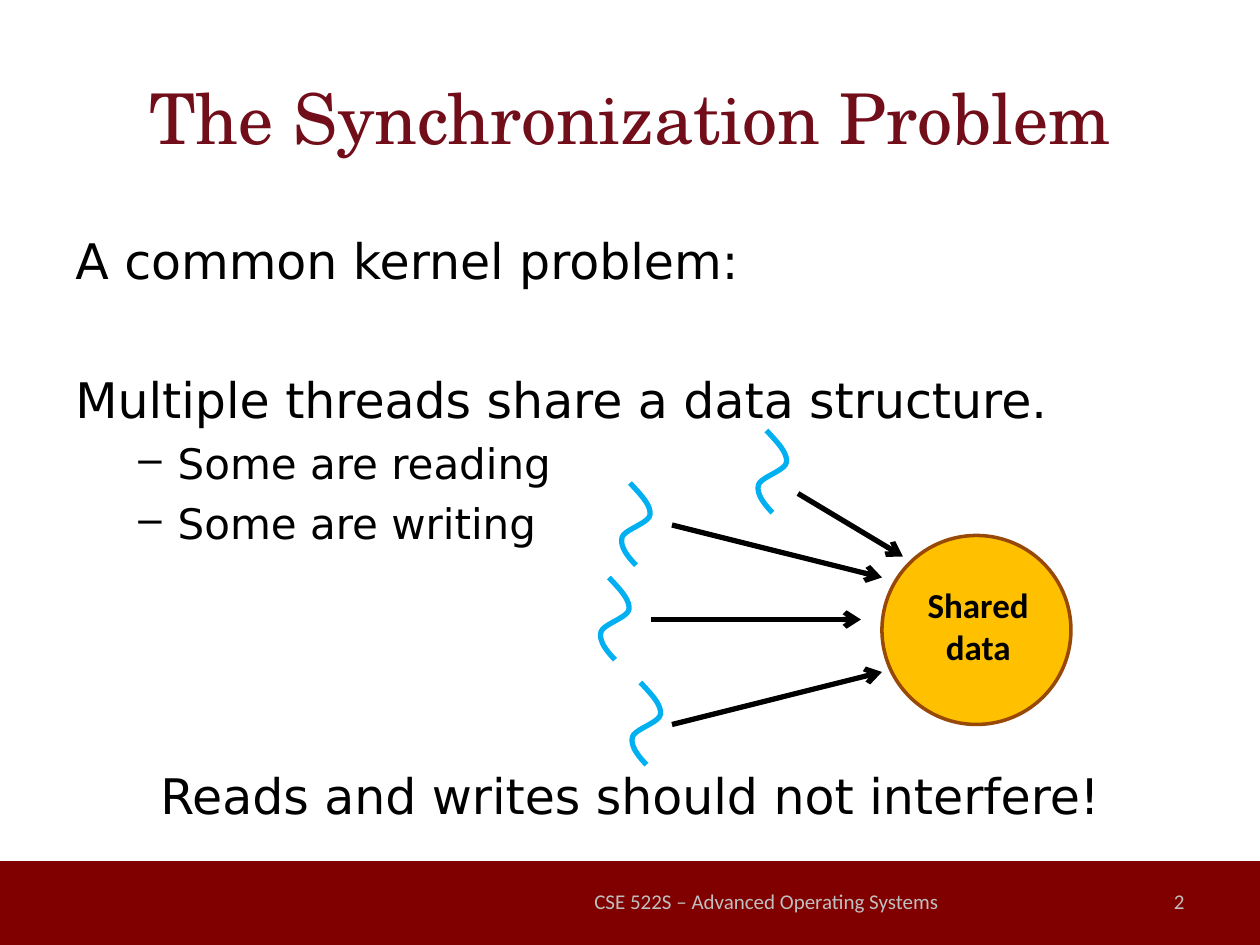
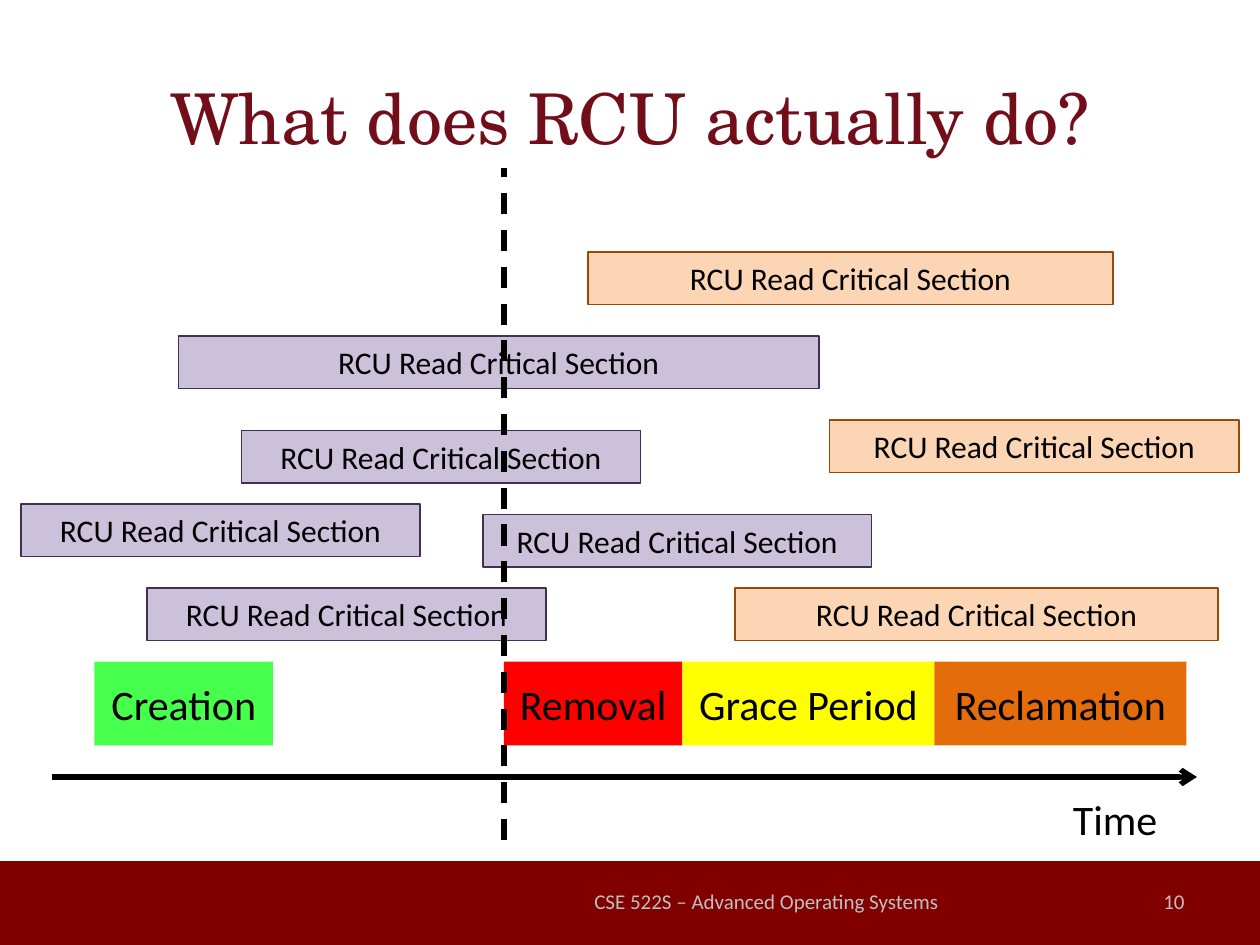
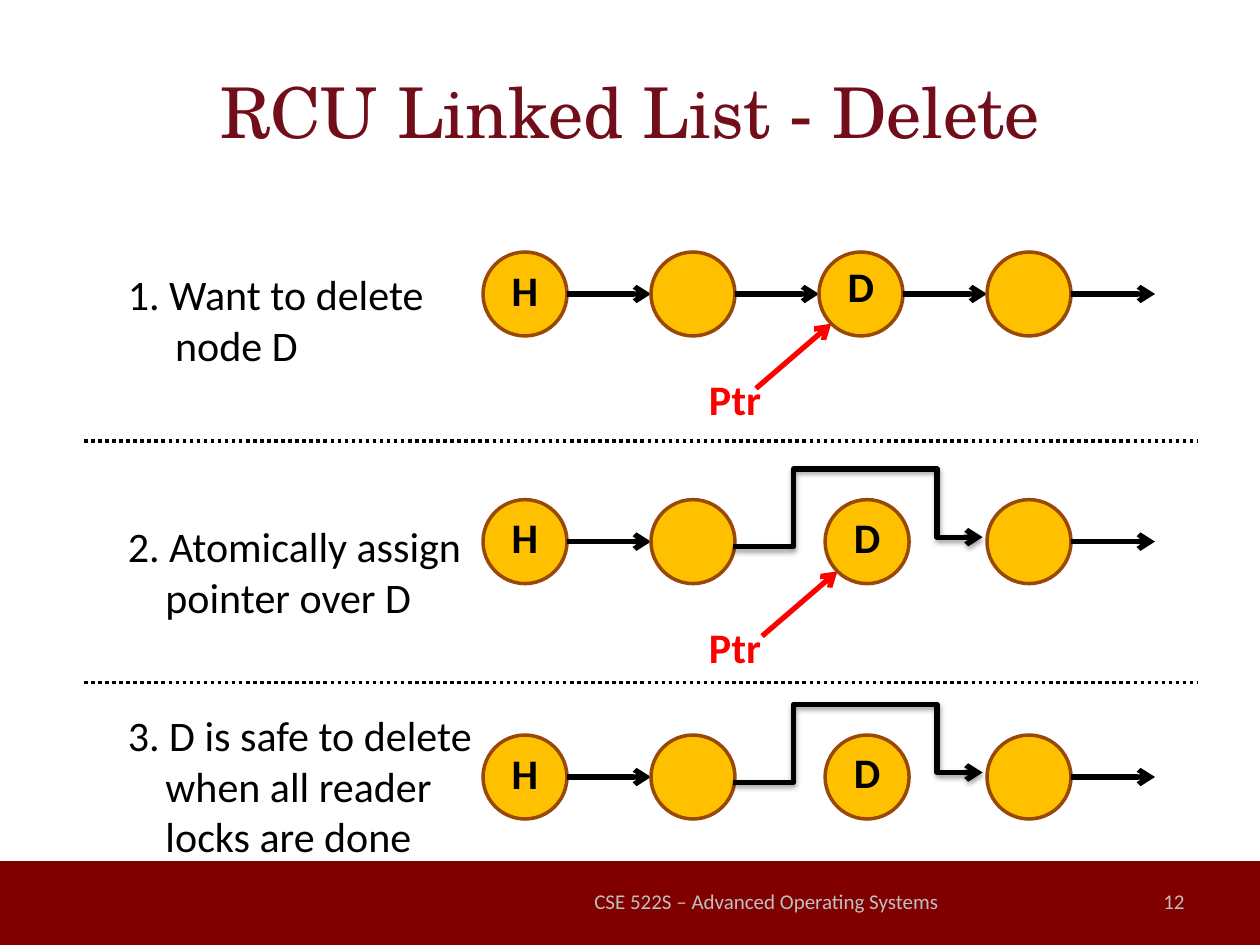
from lxml.etree import SubElement
from pptx import Presentation
from pptx.dml.color import RGBColor
from pptx.enum.dml import MSO_LINE
from pptx.enum.shapes import MSO_CONNECTOR, MSO_SHAPE
from pptx.enum.text import MSO_ANCHOR, PP_ALIGN
from pptx.oxml.ns import qn
from pptx.util import Pt

BLACK, RED, MAROON = "000000", "FF0000", "800000"
GOLD, BROWN, SKY = "FFC000", "984807", "00B0F0"
LILAC, PLUM, PEACH = "CCC1DA", "403152", "FCD5B5"

FONTS = {
    "title": {"name": "TeX Gyre Schola", "size": Pt(40)},
    "body": {"name": "DejaVu Sans", "size": Pt(28)},
    "bullet": {"name": "DejaVu Sans", "size": Pt(24)},
    "footer": {"name": "Calibri", "size": Pt(12)},
    "label": {"name": "Calibri", "size": Pt(24)},
    "strong": {"name": "Calibri", "size": Pt(24), "bold": True},
    "data": {"name": "Calibri", "size": Pt(20), "bold": True},
    "section": {"name": "Calibri", "size": Pt(18)},
}
TEXT_COLOURS = {"title": "720D1A", "footer": "BFBFBF"}
CENTER, LEFT, RIGHT = PP_ALIGN.CENTER, PP_ALIGN.LEFT, PP_ALIGN.RIGHT
TOP, MIDDLE = MSO_ANCHOR.TOP, MSO_ANCHOR.MIDDLE

NODE = 48
NODE_LEFTS = (276, 372, 468, 564)
UNLINKED_LEFT = 471.5


def rgb(colour):
    return RGBColor.from_string(colour)


def bezier(p0, p1, p2, p3, steps=10):
    """Return the points of a cubic curve, without its start."""
    points = []
    for step in range(1, steps + 1):
        t = step / steps
        weights = ((1 - t) ** 3, 3 * t * (1 - t) ** 2, 3 * t * t * (1 - t), t ** 3)
        points.append(tuple(sum(w * p[axis] for w, p in zip(weights, (p0, p1, p2, p3)))
                            for axis in (0, 1)))
    return points


class Deck:
    """Holds the shared style and the slide being drawn."""

    def __init__(self):
        self.presentation = Presentation()
        self.presentation.slide_width = Pt(720)
        self.presentation.slide_height = Pt(540)

    def new_slide(self, title, number, title_top=21.5):
        layout = self.presentation.slide_layouts[6]
        self.shapes = self.presentation.slides.add_slide(layout).shapes
        self.shape(MSO_SHAPE.RECTANGLE, (0, 492, 720, 48), MAROON)
        self.text((36, title_top, 648, 90), [title], "title", CENTER, MIDDLE)
        self.text((324, 500.5, 228, 28.75), ["CSE 522S – Advanced Operating Systems"],
                  "footer", CENTER, MIDDLE)
        self.text((516, 500.5, 168, 28.75), [number], "footer", RIGHT, MIDDLE)

    def paragraph(self, paragraph, text, style, align=LEFT, colour=None, before=0,
                  indent=0, bullet=None):
        paragraph.alignment = align
        paragraph.space_before = Pt(before)
        properties = paragraph._p.get_or_add_pPr()
        properties.set("marL", str(Pt(indent)))
        if bullet:
            properties.set("indent", str(Pt(-22.5)))
            SubElement(properties, qn("a:buChar")).set("char", bullet)
        run = paragraph.add_run()
        run.text = text
        for attribute, value in FONTS[style].items():
            setattr(run.font, attribute, value)
        run.font.color.rgb = rgb(colour or TEXT_COLOURS.get(style, BLACK))

    def fill_frame(self, frame, lines, style, align, anchor, colour=None, hanging=0):
        frame.word_wrap = True
        frame.vertical_anchor = anchor
        for index, line in enumerate(lines):
            paragraph = frame.add_paragraph() if index else frame.paragraphs[0]
            self.paragraph(paragraph, line, style, align, colour,
                           indent=hanging if index else 0)

    def text(self, box, lines, style, align=LEFT, anchor=TOP, colour=None, hanging=0):
        frame = self.shapes.add_textbox(*map(Pt, box)).text_frame
        self.fill_frame(frame, lines, style, align, anchor, colour, hanging)
        return frame

    def shape(self, kind, box, fill, outline=None, width=1, label=None, style="label"):
        shape = self.shapes.add_shape(kind, *map(Pt, box))
        shape.shadow.inherit = False
        shape.fill.solid()
        shape.fill.fore_color.rgb = rgb(fill)
        if outline:
            self.stroke(shape, outline, width)
        else:
            shape.line.fill.background()
        if label:
            self.fill_frame(shape.text_frame, [label], style, CENTER, MIDDLE)

    def circle(self, left, top, size):
        self.shape(MSO_SHAPE.OVAL, (left, top, size, size), GOLD, BROWN, 2)

    def stroke(self, shape, colour, width, dash=None, arrow=False):
        shape.line.color.rgb = rgb(colour)
        shape.line.width = Pt(width)
        if dash:
            shape.line.dash_style = dash
        if arrow:
            outline = shape.element.spPr.find(qn("a:ln"))
            SubElement(outline, qn("a:tailEnd")).set("type", "arrow")

    def line(self, start, end, colour=BLACK, width=3, dash=None, arrow=False):
        line = self.shapes.add_connector(MSO_CONNECTOR.STRAIGHT, *map(Pt, start + end))
        self.stroke(line, colour, width, dash, arrow)
        SubElement(line.element.spPr, qn("a:effectLst"))

    def outline(self, points, colour, arrow=False, shadow=False):
        """Draw an open, unfilled path through the points."""
        start, *rest = [(Pt(x), Pt(y)) for x, y in points]
        builder = self.shapes.build_freeform(*start)
        builder.add_line_segments(rest, close=False)
        path_shape = builder.convert_to_shape()
        path_shape.fill.background()
        path_shape.shadow.inherit = False
        self.stroke(path_shape, colour, 3, arrow=arrow)
        if shadow:
            effects = path_shape.element.spPr.find(qn("a:effectLst"))
            outer = SubElement(effects, qn("a:outerShdw"), blurRad=str(Pt(3.1)),
                               dist=str(Pt(1.6)), dir="5400000", rotWithShape="0")
            black = SubElement(outer, qn("a:srgbClr"), val=BLACK)
            SubElement(black, qn("a:alpha"), val="38000")

    def thread(self, x, y):
        """Draw the wavy line of a thread, starting at its upper end."""
        offsets = ((0, 0), (6, 6.5), (12, 12.5), (11.5, 18), (11, 23), (-3, 26.5),
                   (-4.5, 31), (-6, 36), (-1.5, 42), (3.5, 47))
        controls = [(x + dx, y + dy) for dx, dy in offsets]
        points = controls[:1]
        for first in (0, 3, 6):
            points += bezier(*controls[first:first + 4])
        self.outline(points, SKY)

    def node(self, left, top, label=None, label_drop=3.5):
        self.circle(left, top, NODE)
        if label:
            self.text((left + 6, top + label_drop, 36, 36), [label], "strong", CENTER)

    def linked_list(self, top, deleted_left, label_drop, bypass, pointer):
        middle = top + NODE / 2
        for index, left in enumerate(NODE_LEFTS):
            if index == 2:
                self.node(deleted_left, top, "D", label_drop)
            else:
                self.node(left, top, "H" if index == 0 else None)
            if not (bypass and index in (1, 2)):
                self.line((left + NODE, middle), (left + 2 * NODE, middle), arrow=True)
        if pointer:
            self.line((deleted_left - 36, top + 78), (deleted_left + 7, top + 41), RED,
                      arrow=True)
            self.text((396, top + 66, 48, 36), ["Ptr"], "strong", CENTER, colour=RED)
        if bypass:
            self.outline([(419, top + 27), (453.5, top + 27), (453.5, top - 17.5),
                          (535.5, top - 17.5), (535.5, top + 21.5), (561.5, top + 21.5)],
                         BLACK, arrow=True, shadow=True)


def synchronization_problem(deck):
    deck.new_slide("The Synchronization Problem", "2")
    body = deck.text((36, 126, 648, 356.5), ["A common kernel problem:"], "body")
    body.margin_top = Pt(5.5)
    item = {"before": 5.5, "indent": 58.5, "bullet": "–"}
    for line, style, form in (
            ("Multiple threads share a data structure.", "body", {"before": 46}),
            ("Some are reading", "bullet", item),
            ("Some are writing", "bullet", item),
            ("Reads and writes should not interfere!", "body",
             {"before": 124, "align": CENTER})):
        deck.paragraph(body.add_paragraph(), line, style, **form)

    deck.circle(504, 306, 108)
    deck.text((522, 330, 74, 55.5), ["Shared", "data"], "data", CENTER)
    for thread, start, end in (((366, 390), (384, 414), (504, 384)),
                               ((348, 330), (372, 354), (492, 354)),
                               ((360, 276), (384, 300), (504, 330)),
                               ((438, 246), (456, 282), (516, 318))):
        deck.thread(*thread)
        deck.line(start, end, arrow=True)


def rcu_timeline(deck):
    deck.new_slide("What does RCU actually do?", "10")
    for phase, left, width, colour in (("Creation", 54, 102, "47FF4D"),
                                       ("Removal", 288, 102, RED),
                                       ("Grace Period", 390, 144, "FFFF00"),
                                       ("Reclamation", 534, 144, "E46C0A")):
        deck.shape(MSO_SHAPE.RECTANGLE, (left, 378, width, 48), colour, label=phase)
    deck.line((30, 444), (684, 444), arrow=True)
    deck.text((606, 450, 63.5, 36), ["Time"], "label")

    before_removal = ((12, 288, 228), (84, 336, 228), (102, 192, 366),
                      (138, 246, 228), (276, 294, 222))
    after_removal = ((336, 144, 300), (420, 336, 276), (474, 240, 234))
    for sections, fill, edge in ((before_removal, LILAC, PLUM),
                                 (after_removal, PEACH, BROWN)):
        for left, top, width in sections:
            deck.shape(MSO_SHAPE.RECTANGLE, (left, top, width, 30), fill, edge, 0.75,
                       "RCU Read Critical Section", "section")
    deck.line((288, 480), (288, 96), dash=MSO_LINE.DASH)


def linked_list_delete(deck):
    deck.new_slide("RCU Linked List - Delete", "12", title_top=18)
    deck.linked_list(144, NODE_LEFTS[2], 1.5, bypass=False, pointer=True)
    deck.linked_list(285.5, UNLINKED_LEFT, 3, bypass=True, pointer=True)
    deck.linked_list(420, UNLINKED_LEFT, 3, bypass=True, pointer=False)
    for divider in (252, 390):
        deck.line((48, divider), (684, divider), width=2, dash=MSO_LINE.ROUND_DOT)
    for top, width, height, hanging, step in (
            (150, 187, 65.5, 27, ["1. Want to delete", "node D"]),
            (294, 208, 65.5, 21.5, ["2. Atomically assign", "pointer over D"]),
            (402, 214.5, 94.5, 21.5,
             ["3. D is safe to delete", "when all reader", "locks are done"])):
        deck.text((66, top, width, height), step, "label", hanging=hanging)


def main():
    deck = Deck()
    for draw in (synchronization_problem, rcu_timeline, linked_list_delete):
        draw(deck)
    deck.presentation.save("out.pptx")


if __name__ == "__main__":
    main()
